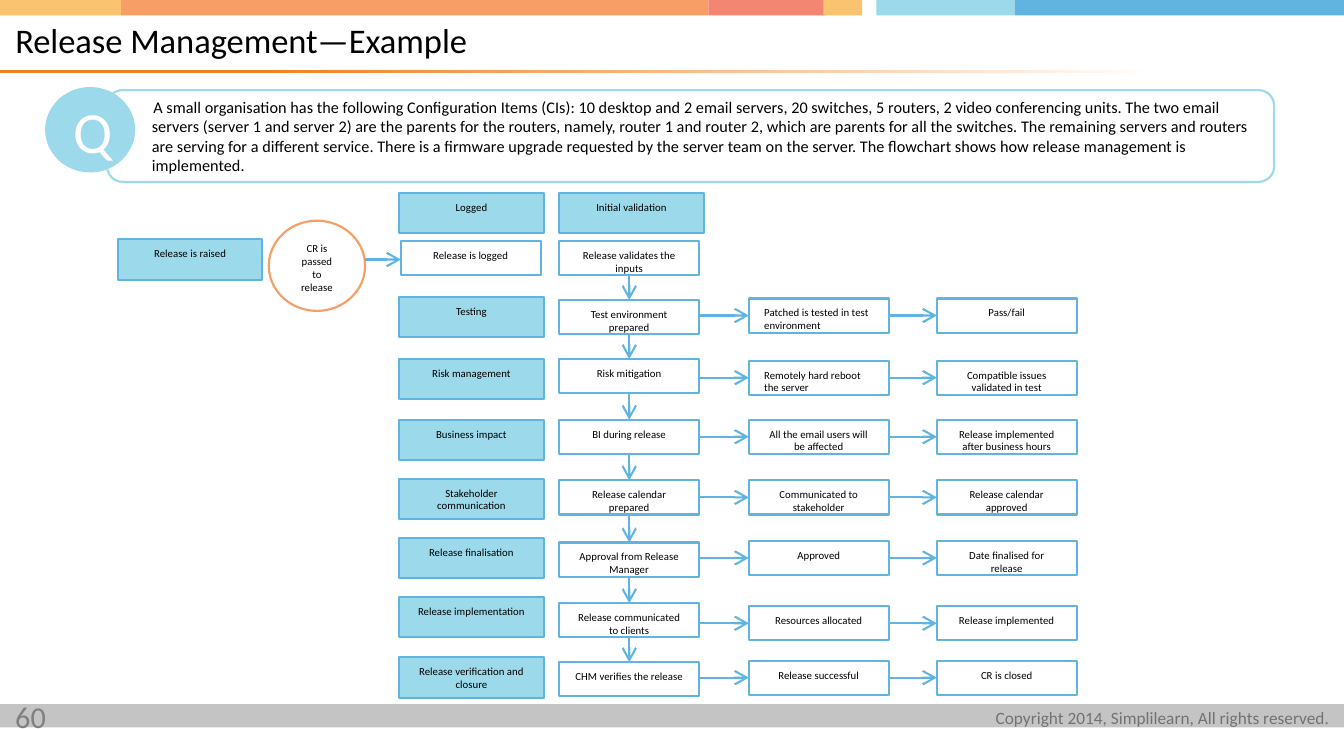
from lxml import etree
from pptx import Presentation
from pptx.dml.color import RGBColor
from pptx.enum.shapes import MSO_CONNECTOR, MSO_SHAPE
from pptx.enum.text import MSO_ANCHOR, PP_ALIGN
from pptx.oxml.ns import qn
from pptx.util import Pt

RECT = MSO_SHAPE.RECTANGLE
ROUNDED = MSO_SHAPE.ROUNDED_RECTANGLE
OVAL = MSO_SHAPE.OVAL
STRAIGHT = MSO_CONNECTOR.STRAIGHT
LEFT, CENTER, RIGHT = PP_ALIGN.LEFT, PP_ALIGN.CENTER, PP_ALIGN.RIGHT
TOP, MIDDLE = MSO_ANCHOR.TOP, MSO_ANCHOR.MIDDLE

EMU_PER_PX = 9144
SLIDE_W, SLIDE_H = 865, 469
FONT = "Calibri"
BLACK, WHITE = "000000", "FFFFFF"
SKY, BLUE, ORANGE, AMBER = "9CDAEB", "61B4DF", "F69E66", "FAC36F"

STEP_W, STEP_H = 90, 22
HEADING_W, HEADING_H = 93, 26
HEADING_X = 257
STEP_X, ACTION_X, RESULT_X = 360, 482, 603
FLOW_X = 405
FIRST_Y = 155

TOP_BAND = [
    (0, 78, AMBER), (78, 378, ORANGE), (456, 75, "F38573"), (530, 25, AMBER),
    (555, 9, WHITE), (564, 89, SKY), (653, 212, BLUE),
]

QUESTION = (
    "A small organisation has the following Configuration Items (CIs): "
    "10 desktop and 2 email servers, 20 switches, 5 routers, 2 video conferencing units. "
    "The two email servers (server 1 and server 2) are the parents for the routers, "
    "namely, router 1 and router 2, which are parents for all the switches. "
    "The remaining servers and routers are serving for a different service. "
    "There is a firmware upgrade requested by the server team on the server. "
    "The flowchart shows how release management is implemented."
)

STAGES = [
    (191, 193, 192, "Testing", "Test environment prepared",
     "Patched is tested in test environment", "Pass/fail", LEFT),
    (231, 231, 232, "Risk management", "Risk mitigation",
     "Remotely hard reboot the server", "Compatible issues validated in test", LEFT),
    (270, 270, 270, "Business impact", "BI during release",
     "All the email users will be affected",
     "Release implemented after business hours", CENTER),
    (308, 309, 309, "Stakeholder communication", "Release calendar prepared",
     "Communicated to stakeholder", "Release calendar approved", CENTER),
    (346, 349, 348, "Release finalisation", "Approval from Release Manager",
     "Approved", "Date finalised for release", CENTER),
    (384, 388, 390, "Release implementation", "Release communicated to clients",
     "Resources allocated", "Release implemented", CENTER),
    (423, 426, 425, "Release verification and closure", "CHM verifies the release",
     "Release successful", "CR is closed", CENTER),
]


def px(length):
    return length * EMU_PER_PX


def color(hex_value):
    return RGBColor.from_string(hex_value)


def write(holder, text, size=5, ink=BLACK, align=CENTER, anchor=TOP,
          insets=(10, 5, 10, 5), wrap=True, spacing=None, indent=None):
    frame = holder.text_frame
    frame.word_wrap = wrap
    frame.vertical_anchor = anchor
    frame.margin_left, frame.margin_top, frame.margin_right, frame.margin_bottom = map(px, insets)
    paragraph = frame.paragraphs[0]
    paragraph.text = text
    paragraph.alignment = align
    if spacing:
        paragraph.line_spacing = spacing
    if indent:
        margin, first_line = indent
        properties = paragraph.runs[0].font
        paragraph_format = frame.paragraphs[0]._p.get_or_add_pPr()
        paragraph_format.set("marL", str(px(margin)))
        paragraph_format.set("indent", str(px(first_line)))
    properties = paragraph.runs[0].font
    properties.name = FONT
    properties.size = Pt(size)
    properties.color.rgb = color(ink)


def add_block(slide, kind, box, fill=None, line=None):
    block = slide.shapes.add_shape(kind, *map(px, box))
    block.shadow.inherit = False
    if fill:
        block.fill.solid()
        block.fill.fore_color.rgb = color(fill)
    else:
        block.fill.background()
    if line:
        block.line.color.rgb = color(line)
        block.line.width = Pt(1)
    else:
        block.line.fill.background()
    return block


def add_label(slide, box, text, **text_format):
    write(slide.shapes.add_textbox(*map(px, box)), text, **text_format)


def add_step(slide, x, y, text, align=CENTER):
    step = add_block(slide, RECT, (x, y, STEP_W, STEP_H), WHITE, BLUE)
    write(step, text, align=align)


def add_heading(slide, x, y, text):
    heading = add_block(slide, RECT, (x, y, HEADING_W, HEADING_H), SKY, BLUE)
    write(heading, text)


def add_arrow(slide, x1, y1, x2, y2):
    arrow = slide.shapes.add_connector(STRAIGHT, px(x1), px(y1), px(x2), px(y2))
    arrow.line.color.rgb = color(BLUE)
    arrow.line.width = Pt(1)
    properties = arrow.element.spPr
    etree.SubElement(properties.find(qn("a:ln")), qn("a:tailEnd"), type="arrow")
    etree.SubElement(properties, qn("a:effectLst"))


def add_frame(slide):
    add_block(slide, RECT, (0, 453, SLIDE_W, 15), "C4C4C4")
    add_label(slide, (640, 450, 216, 24), "Copyright 2014, Simplilearn, All rights reserved.",
              size=8, ink="767171", align=RIGHT, insets=(0, 5, 0, 5), wrap=False)
    for x, width, fill in TOP_BAND:
        add_block(slide, RECT, (x, 0, width, 10), fill)
    title_rule = add_block(slide, RECT, (0, 45, 747, 2))
    title_rule.fill.gradient()
    title_rule.fill.gradient_angle = 0
    stops = ((0.23, "F28020"), (1, WHITE))
    for stop, (position, shade) in zip(title_rule.fill.gradient_stops, stops):
        stop.position = position
        stop.color.rgb = color(shade)
    add_label(slide, (0, 444, 63, 25), "60", size=14, ink="808080", align=LEFT)
    add_label(slide, (0, 10, 708, 34), "Release Management—Example", size=16,
              align=LEFT, anchor=MIDDLE, insets=(10, 0, 0, 0), spacing=0.9)


def add_question(slide):
    panel = add_block(slide, ROUNDED, (69, 58, 751, 59), line=SKY)
    write(panel, QUESTION, size=7.5, align=LEFT, anchor=MIDDLE, indent=(16, 1))
    badge = add_block(slide, OVAL, (29, 56, 58, 55), SKY)
    write(badge, "Q", size=27, ink=WHITE, anchor=MIDDLE)


def add_intake(slide):
    add_heading(slide, 76, 154, "Release is raised")
    handover = add_block(slide, OVAL, (173, 142, 62, 58), WHITE, ORANGE)
    write(handover, "CR is passed to release")
    add_heading(slide, HEADING_X, 124, "Logged")
    add_heading(slide, STEP_X, 124, "Initial validation")
    add_step(slide, 258, FIRST_Y, "Release is logged")
    add_step(slide, STEP_X, FIRST_Y, "Release validates the inputs")
    add_arrow(slide, 235, 167, 258, 167)


def add_stages(slide):
    previous_y = FIRST_Y
    for heading_y, step_y, action_y, heading, step, action, result, align in STAGES:
        add_heading(slide, HEADING_X, heading_y, heading)
        add_step(slide, STEP_X, step_y, step)
        add_step(slide, ACTION_X, action_y, action, align)
        add_step(slide, RESULT_X, action_y, result)
        add_arrow(slide, FLOW_X, previous_y + STEP_H, FLOW_X, step_y)
        arrow_y = action_y + STEP_H // 2
        add_arrow(slide, STEP_X + STEP_W, arrow_y, ACTION_X, arrow_y)
        add_arrow(slide, ACTION_X + STEP_W, arrow_y, RESULT_X, arrow_y)
        previous_y = step_y


def main():
    deck = Presentation()
    deck.slide_width, deck.slide_height = px(SLIDE_W), px(SLIDE_H)
    slide = deck.slides.add_slide(deck.slide_layouts[6])
    add_frame(slide)
    add_question(slide)
    add_intake(slide)
    add_stages(slide)
    deck.save("out.pptx")


if __name__ == "__main__":
    main()
